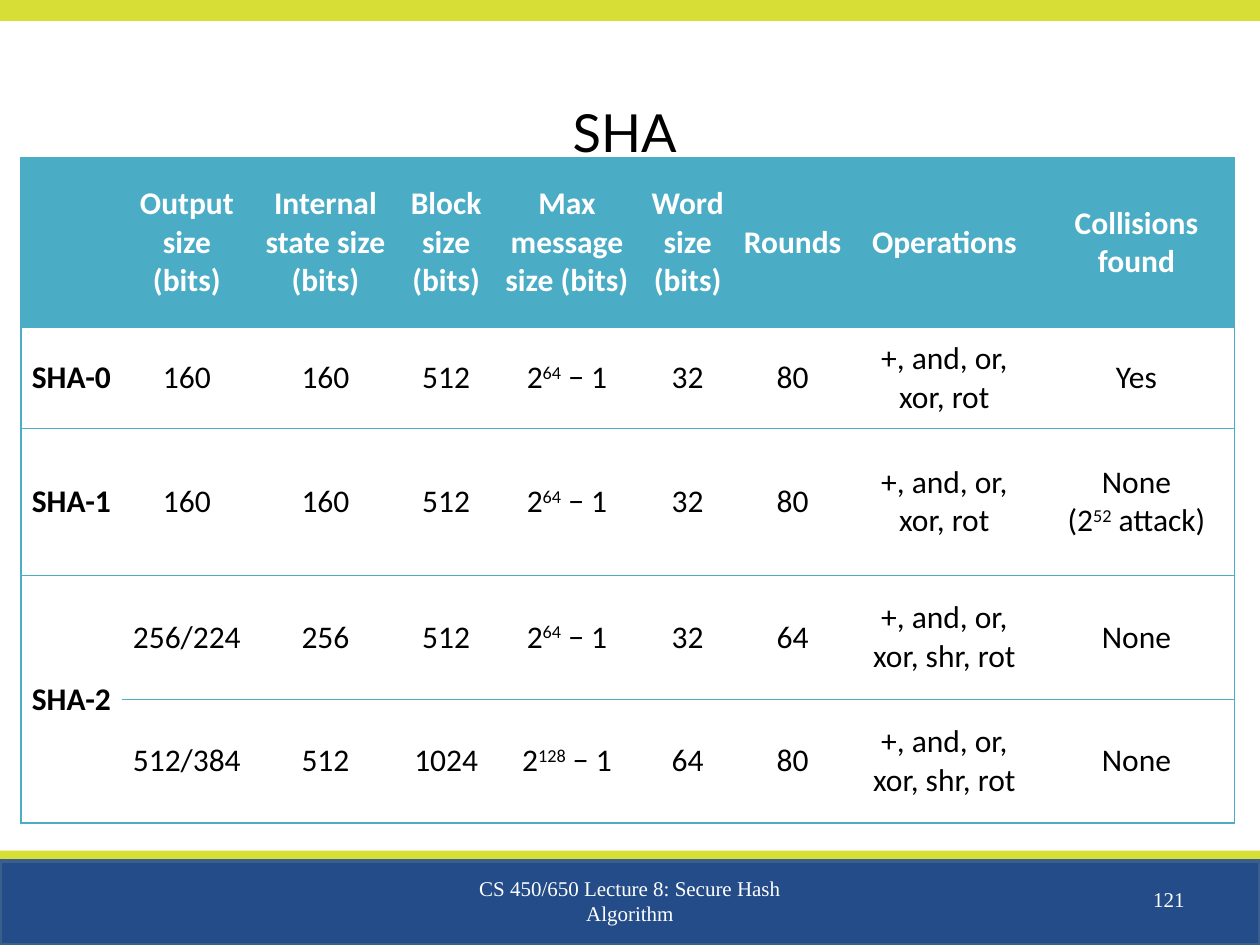
from itertools import product

from lxml.etree import SubElement
from pptx import Presentation
from pptx.dml.color import RGBColor
from pptx.enum.shapes import MSO_SHAPE
from pptx.enum.text import MSO_ANCHOR, PP_ALIGN
from pptx.oxml.ns import qn
from pptx.util import Inches, Pt

COLORS = {"lime": "D7DF36", "navy": "234C89", "edge": "3A5F8C",
          "teal": "4BACC6", "white": "FFFFFF", "black": "000000"}
COLUMN_WIDTHS = [9.6, 12.4, 14, 9, 14, 9, 11, 17.9, 18.7]
ROW_HEIGHTS = [16.2, 9.6, 14, 11.8, 11.8]
HASHES = [
    ["", "Output size (bits)", "Internal state size (bits)", "Block size (bits)",
     "Max message size (bits)", "Word size (bits)", "Rounds", "Operations", "Collisions found"],
    ["SHA-0", "160", "160", "512", "2^64^ − 1", "32", "80", "+, and, or, xor, rot", "Yes"],
    ["SHA-1", "160", "160", "512", "2^64^ − 1", "32", "80", "+, and, or, xor, rot",
     "None\n(2^52^ attack)"],
    ["SHA-2", "256/224", "256", "512", "2^64^ − 1", "32", "64", "+, and, or, xor, shr, rot", "None"],
    ["", "512/384", "512", "1024", "2^128^ − 1", "64", "80", "+, and, or, xor, shr, rot", "None"],
]


class Deck:
    """Slide builder on a grid of 120 columns by 90 rows; ^ marks encase superscripts."""

    def __init__(self):
        self.show = Presentation()
        self.show.slide_width, self.show.slide_height = Inches(10), Inches(7.5)
        self.slide = self.show.slides.add_slide(self.show.slide_layouts[5])

    def color(self, name):
        return RGBColor.from_string(COLORS[name])

    def x(self, columns):
        return round(self.show.slide_width * columns / 120)

    def y(self, rows):
        return round(self.show.slide_height * rows / 90)

    def box(self, left, top, width, height):
        return self.x(left), self.y(top), self.x(width), self.y(height)

    def wording(self, frame, text, font, size, color, bold=False, align=PP_ALIGN.CENTER):
        frame.word_wrap = True
        for number, line in enumerate(text.split("\n")):
            paragraph = frame.add_paragraph() if number else frame.paragraphs[0]
            paragraph.alignment = align
            paragraph.font.name, paragraph.font.size = font, Pt(size)
            paragraph.font.bold = bold
            paragraph.font.color.rgb = self.color(color)
            for part, words in enumerate(line.split("^")):
                run = paragraph.add_run()
                run.text = words
                if part % 2:
                    run._r.get_or_add_rPr().set("baseline", "30000")

    def title(self, text, *place):
        title = self.slide.shapes.title
        title.left, title.top, title.width, title.height = self.box(*place)
        title.text_frame.vertical_anchor = MSO_ANCHOR.MIDDLE
        self.wording(title.text_frame, text, "Lato", 30, "black")

    def band(self, fill, *place, edge=None):
        band = self.slide.shapes.add_shape(MSO_SHAPE.RECTANGLE, *self.box(*place))
        band.shadow.inherit = False
        band.fill.solid()
        band.fill.fore_color.rgb = self.color(fill)
        if edge:
            band.line.color.rgb = self.color(edge)
            band.line.width = Pt(2)
        else:
            band.line.fill.background()

    def footer(self, text, *place, align=PP_ALIGN.CENTER):
        frame = self.slide.shapes.add_textbox(*self.box(*place)).text_frame
        frame.vertical_anchor = MSO_ANCHOR.MIDDLE
        self.wording(frame, text, "Times New Roman", 12, "white", align=align)

    def borders(self, cell, drawn):
        properties = cell._tc.get_or_add_tcPr()
        for position, side in enumerate("LRTB"):
            line = SubElement(properties, qn(f"a:ln{side}"), w=str(Pt(1)))
            if side in drawn:
                fill = SubElement(line, qn("a:solidFill"))
                SubElement(fill, qn("a:srgbClr"), val=COLORS["teal"])
            else:
                SubElement(line, qn("a:noFill"))
            properties.insert(position, line)

    def table(self, rows, widths, heights, left, top):
        place = self.box(left, top, sum(widths), sum(heights))
        table = self.slide.shapes.add_table(len(rows), len(widths), *place).table
        table.horz_banding = False
        for column, width in zip(table.columns, widths):
            column.width = self.x(width)
        for row, height in zip(table.rows, heights):
            row.height = self.y(height)
        last = len(widths) - 1
        table.cell(3, 0).merge(table.cell(4, 0))
        for r, c in product(range(len(rows)), range(len(widths))):
            cell = table.cell(r, c)
            header = r == 0
            cell.vertical_anchor = MSO_ANCHOR.MIDDLE
            cell.margin_left = cell.margin_right = Inches(0.06)
            cell.margin_top = cell.margin_bottom = Inches(0.03)
            cell.fill.solid()
            cell.fill.fore_color.rgb = self.color("teal" if header else "white")
            sides = "B" if cell.is_spanned else "TB"
            self.borders(cell, sides + {0: "L", last: "R"}.get(c, ""))
            if rows[r][c]:
                self.wording(cell.text_frame, rows[r][c], "Calibri", 18,
                             "white" if header else "black", bold=header or c == 0)


def main():
    deck = Deck()
    deck.band("lime", 0, 0, 120, 2)
    deck.band("lime", 0, 81, 120, 8)
    deck.band("navy", 0, 82, 120, 8, edge="edge")
    deck.title("SHA", 20, 5, 79, 15)
    deck.table(HASHES, COLUMN_WIDTHS, ROW_HEIGHTS, 2, 15)
    deck.footer("CS 450/650 Lecture 8: Secure Hash Algorithm", 41, 83.4, 38, 4.8)
    deck.footer("121", 86, 83.2, 28, 4.8, align=PP_ALIGN.RIGHT)
    deck.show.save("out.pptx")


if __name__ == "__main__":
    main()
